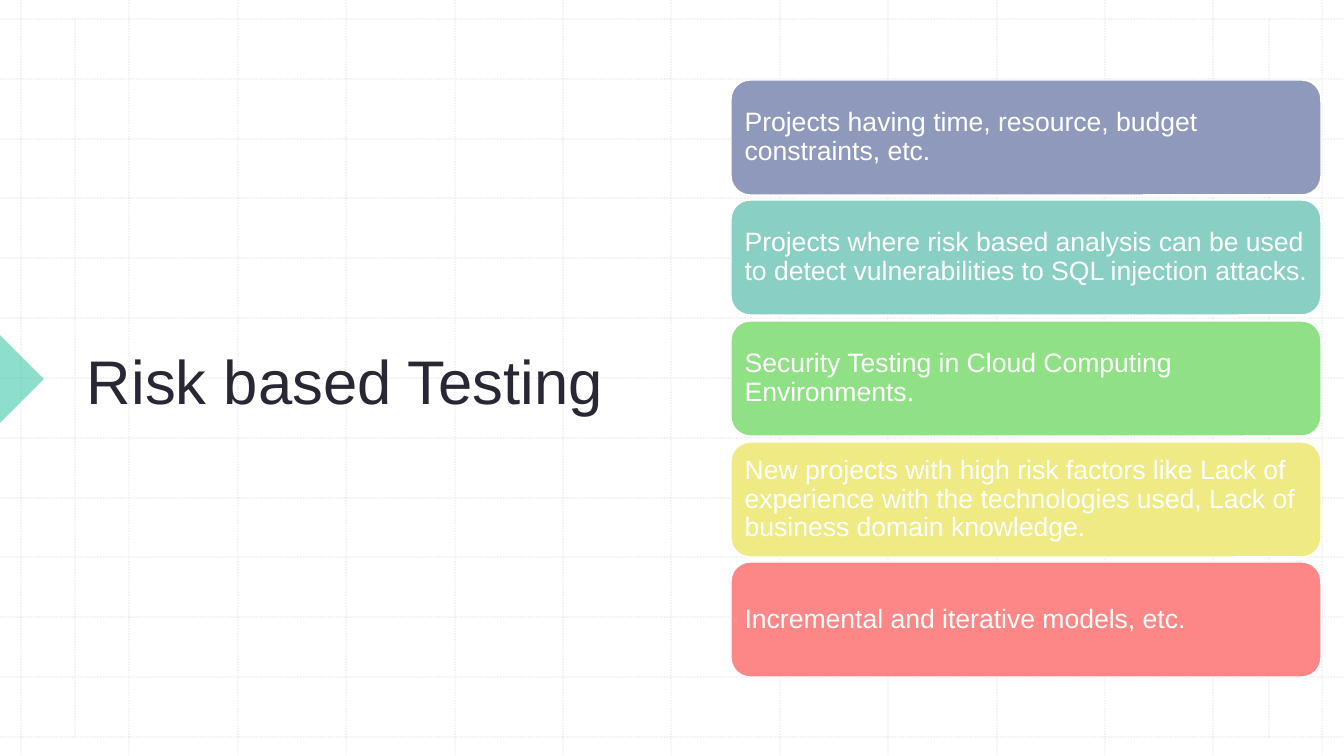
from dataclasses import dataclass

from lxml.etree import SubElement as Sub
from pptx import Presentation
from pptx.dml.color import RGBColor as RGB
from pptx.enum.shapes import MSO_CONNECTOR as Conn, MSO_SHAPE as Kind
from pptx.enum.dml import MSO_LINE as Dash
from pptx.enum.text import MSO_ANCHOR as Anchor, PP_ALIGN as Align
from pptx.oxml.ns import qn
from pptx.util import Emu, Pt

WIDE, HIGH = 1344, 756


@dataclass(frozen=True)
class Theme:
    font: str = "Arial"
    ink: str = "2A2735"
    white: str = "FFFFFF"
    grid: str = "BCBCBC"
    mark: str = "1EBE9B"
    title: int = 44
    body: int = 19


THEME = Theme()

CARDS = [
    ("8F99BB", "Projects having time, resource, budget constraints, etc."),
    ("89CFC3", "Projects where risk based analysis can be used to detect "
               "vulnerabilities to SQL injection attacks."),
    ("90E185", "Security Testing in Cloud Computing Environments."),
    ("F0EA84", "New projects with high risk factors like Lack of experience "
               "with the technologies used, Lack of business domain knowledge."),
    ("FD8686", "Incremental and iterative models, etc."),
]


def px(num):
    return Emu(round(num * 914400 / 100.8))


def put(item, vals):
    for name, val in vals.items():
        setattr(item, name, val)


def tint(fill, color, alpha=100):
    fill.solid()
    fill.fore_color.rgb = RGB.from_string(color)
    if alpha < 100:
        node = fill._xPr.find(qn("a:solidFill"))[0]
        Sub(node, qn("a:alpha")).set("val", str(alpha * 1000))


def write(shape, text, size, color, inset, lead=1.0):
    frame = shape.text_frame
    put(frame, {"word_wrap": True, "vertical_anchor": Anchor.MIDDLE,
                "margin_left": px(inset), "margin_right": px(inset),
                "margin_top": px(inset), "margin_bottom": px(inset)})
    para = frame.paragraphs[0]
    para.text = text
    put(para, {"alignment": Align.LEFT, "line_spacing": lead})
    put(para.font, {"name": THEME.font, "size": Pt(size)})
    para.font.color.rgb = RGB.from_string(color)


def rule(group, x1, y1, x2, y2):
    line = group.shapes.add_connector(
        Conn.STRAIGHT, px(x1), px(y1), px(x2), px(y2))
    tint(line.line.fill, THEME.grid, 30)
    put(line.line, {"width": Pt(1), "dash_style": Dash.ROUND_DOT})
    Sub(line._element.spPr, qn("a:effectLst"))


def grid(slide):
    group = slide.shapes.add_group_shape()
    for i in range(13):
        x = round(21 + i * 108.4)
        y = round(19 + i * 59.83)
        rule(group, x, 0, x, HIGH)
        rule(group, 0, y, WIDE, y)
    # Inner side rules
    for x in (75, 1269):
        rule(group, x, 19, x, 737)


def mark(slide):
    wedge = slide.shapes.add_shape(
        Kind.RIGHT_TRIANGLE, px(-31), px(348), px(62), px(62))
    wedge.rotation = 225
    wedge.shadow.inherit = False
    tint(wedge.fill, THEME.mark, 50)
    wedge.line.fill.background()


def title(slide, text):
    box = slide.shapes.add_textbox(px(77), px(80), px(597), px(600))
    write(box, text, THEME.title, THEME.ink, 10)


def card(slide, top, color, text):
    box = slide.shapes.add_shape(
        Kind.ROUNDED_RECTANGLE, px(731), px(top), px(590), px(115))
    box.shadow.inherit = False
    tint(box.fill, color)
    tint(box.line.fill, THEME.white)
    box.line.width = Pt(1)
    write(box, text, THEME.body, THEME.white, 8, 0.9)


def main():
    deck = Presentation()
    put(deck, {"slide_width": px(WIDE), "slide_height": px(HIGH)})
    slide = deck.slides.add_slide(deck.slide_layouts[6])

    # Backdrop
    grid(slide)
    mark(slide)

    # Title and cards
    title(slide, "Risk based Testing")
    for i, (color, text) in enumerate(CARDS):
        card(slide, round(80 + i * 120.5), color, text)

    deck.save("out.pptx")


if __name__ == "__main__":
    main()
